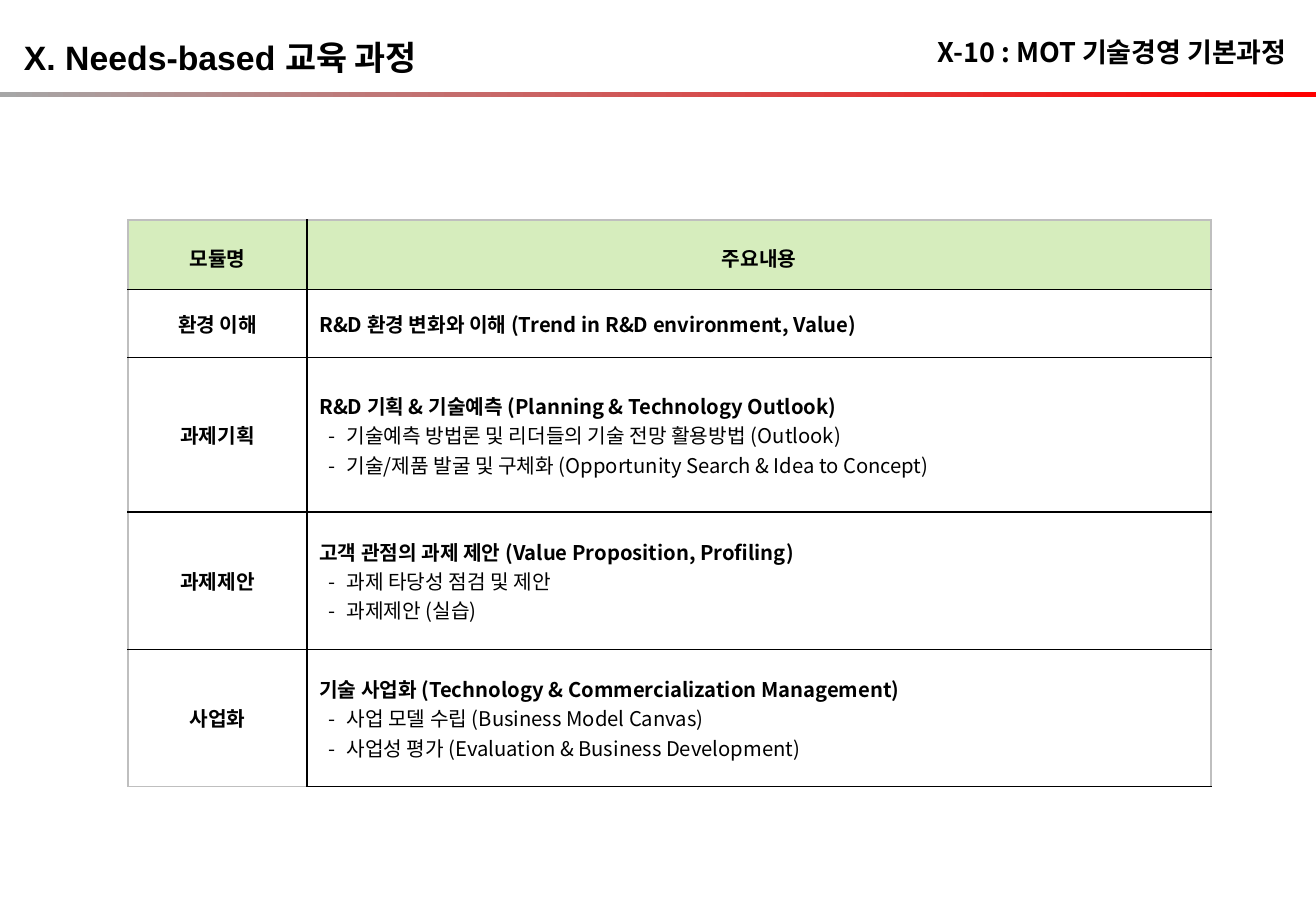
from lxml import etree
from pptx import Presentation
from pptx.dml.color import RGBColor
from pptx.enum.shapes import MSO_SHAPE
from pptx.enum.text import MSO_ANCHOR, MSO_AUTO_SIZE, PP_ALIGN
from pptx.oxml.ns import qn
from pptx.util import Cm, Pt

RECTANGLE = MSO_SHAPE.RECTANGLE
TOP, MIDDLE = MSO_ANCHOR.TOP, MSO_ANCHOR.MIDDLE
NO_AUTOFIT = MSO_AUTO_SIZE.NONE
LEFT, CENTER, RIGHT = PP_ALIGN.LEFT, PP_ALIGN.CENTER, PP_ALIGN.RIGHT

BLACK = RGBColor(0x00, 0x00, 0x00)
RED = RGBColor(0xFF, 0x00, 0x00)
GREY = RGBColor(0xA6, 0xA6, 0xA6)
FRAME_GREY = RGBColor(0xBF, 0xBF, 0xBF)
HEADER_GREEN = RGBColor(0xD6, 0xED, 0xBD)
KOREAN_FONT = "Noto Sans CJK KR"
LATIN_FONT = "Arial"

SLIDE_WIDTH, SLIDE_HEIGHT = Cm(27.51), Cm(19.05)
CHAPTER = "X. Needs-based 교육 과정"
COURSE = "X-10 : MOT 기술경영 기본과정"
HEADERS = ("모듈명", "주요내용")
MODULES = [
    ("환경 이해", "R&D 환경 변화와 이해 (Trend in R&D environment, Value)", []),
    ("과제기획", "R&D 기획 & 기술예측 (Planning & Technology Outlook)",
     ["기술예측 방법론 및 리더들의 기술 전망 활용방법 (Outlook)",
      "기술/제품 발굴 및 구체화 (Opportunity Search & Idea to Concept)"]),
    ("과제제안", "고객 관점의 과제 제안 (Value Proposition, Profiling)",
     ["과제 타당성 점검 및 제안", "과제제안 (실습)"]),
    ("사업화", "기술 사업화 (Technology & Commercialization Management)",
     ["사업 모델 수립 (Business Model Canvas)",
      "사업성 평가 (Evaluation & Business Development)"]),
]
TABLE_LEFT, TABLE_TOP = Cm(2.68), Cm(4.6)
COLUMN_WIDTHS = [Cm(3.74), Cm(18.9)]
ROW_HEIGHTS = [Cm(1.45), Cm(1.43), Cm(3.23), Cm(2.87), Cm(2.87)]


def format_paragraph(paragraph, text, size, alignment=LEFT, bold=True, font_name=KOREAN_FONT):
    paragraph.text = text
    paragraph.alignment = alignment
    font = paragraph.font
    font.name, font.size, font.bold = font_name, Pt(size), bold
    font.color.rgb = BLACK
    defaults = paragraph._p.pPr.find(qn("a:defRPr"))
    east_asian = etree.Element(qn("a:ea"), typeface=KOREAN_FONT)
    defaults.find(qn("a:latin")).addnext(east_asian)


def add_dash(paragraph):
    properties = paragraph._p.get_or_add_pPr()
    properties.set("marL", str(Cm(0.57)))
    properties.set("indent", str(-Cm(0.37)))
    etree.SubElement(properties, qn("a:buFont"), typeface=KOREAN_FONT)
    etree.SubElement(properties, qn("a:buChar"), char="-")


def set_borders(cell, colors):
    properties = cell._tc.get_or_add_tcPr()
    for side, color in zip(("lnL", "lnR", "lnT", "lnB"), colors):
        line = etree.SubElement(properties, qn(f"a:{side}"), w=str(Pt(1)))
        fill = etree.SubElement(line, qn("a:solidFill"))
        etree.SubElement(fill, qn("a:srgbClr"), val=str(color))


def add_heading_bar(slide):
    bar = slide.shapes.add_shape(RECTANGLE, 0, Cm(1.92), SLIDE_WIDTH, Cm(0.11))
    bar.shadow.inherit = False
    bar.line.fill.background()
    bar.fill.gradient()
    bar.fill.gradient_angle = 0
    for stop, color in zip(bar.fill.gradient_stops, (GREY, RED)):
        stop.color.rgb = color


def place_heading(shape, box, anchor):
    shape.left, shape.top, shape.width, shape.height = box
    frame = shape.text_frame
    frame.word_wrap = False
    frame.auto_size = NO_AUTOFIT
    frame.vertical_anchor = anchor
    return frame.paragraphs[0]


def add_module_table(slide):
    shape = slide.shapes.add_table(
        len(ROW_HEIGHTS), len(COLUMN_WIDTHS), TABLE_LEFT, TABLE_TOP,
        sum(COLUMN_WIDTHS), sum(ROW_HEIGHTS))
    table = shape.table
    table.first_row = table.horz_banding = False
    for column, width in zip(table.columns, COLUMN_WIDTHS):
        column.width = width
    for row, height in zip(table.rows, ROW_HEIGHTS):
        row.height = height

    last_row = len(ROW_HEIGHTS) - 1
    for row_index in range(len(ROW_HEIGHTS)):
        for column_index in range(len(COLUMN_WIDTHS)):
            cell = table.cell(row_index, column_index)
            cell.vertical_anchor = MIDDLE
            first_column = column_index == 0
            set_borders(cell, (
                FRAME_GREY if first_column else BLACK,
                BLACK if first_column else FRAME_GREY,
                FRAME_GREY if row_index == 0 else BLACK,
                FRAME_GREY if first_column and row_index == last_row else BLACK))
            if row_index == 0:
                cell.fill.solid()
                cell.fill.fore_color.rgb = HEADER_GREEN
            else:
                cell.fill.background()

    for column_index, header in enumerate(HEADERS):
        paragraph = table.cell(0, column_index).text_frame.paragraphs[0]
        paragraph.line_spacing = 1.2
        format_paragraph(paragraph, header, 12, CENTER)
    for row_index, (module, topic, details) in enumerate(MODULES, start=1):
        name_frame = table.cell(row_index, 0).text_frame
        format_paragraph(name_frame.paragraphs[0], module, 12, CENTER)
        content_frame = table.cell(row_index, 1).text_frame
        format_paragraph(content_frame.paragraphs[0], topic, 12)
        for detail in details:
            paragraph = content_frame.add_paragraph()
            add_dash(paragraph)
            format_paragraph(paragraph, detail, 12, bold=False)


def main():
    """Build the course outline slide with its module table."""
    presentation = Presentation()
    presentation.slide_width, presentation.slide_height = SLIDE_WIDTH, SLIDE_HEIGHT
    slide = presentation.slides.add_slide(presentation.slide_layouts[5])

    add_heading_bar(slide)
    add_module_table(slide)

    course_box = (Cm(18.54), Cm(0.61), Cm(8.61), Cm(0.94))
    course = place_heading(slide.shapes.title, course_box, MIDDLE)
    format_paragraph(course, COURSE, 16, RIGHT)

    chapter_box = (Cm(0.25), Cm(0.64), Cm(9.42), Cm(1.12))
    chapter = place_heading(slide.shapes.add_textbox(*chapter_box), chapter_box, TOP)
    format_paragraph(chapter, CHAPTER, 20, font_name=LATIN_FONT)

    presentation.save("out.pptx")


if __name__ == "__main__":
    main()
